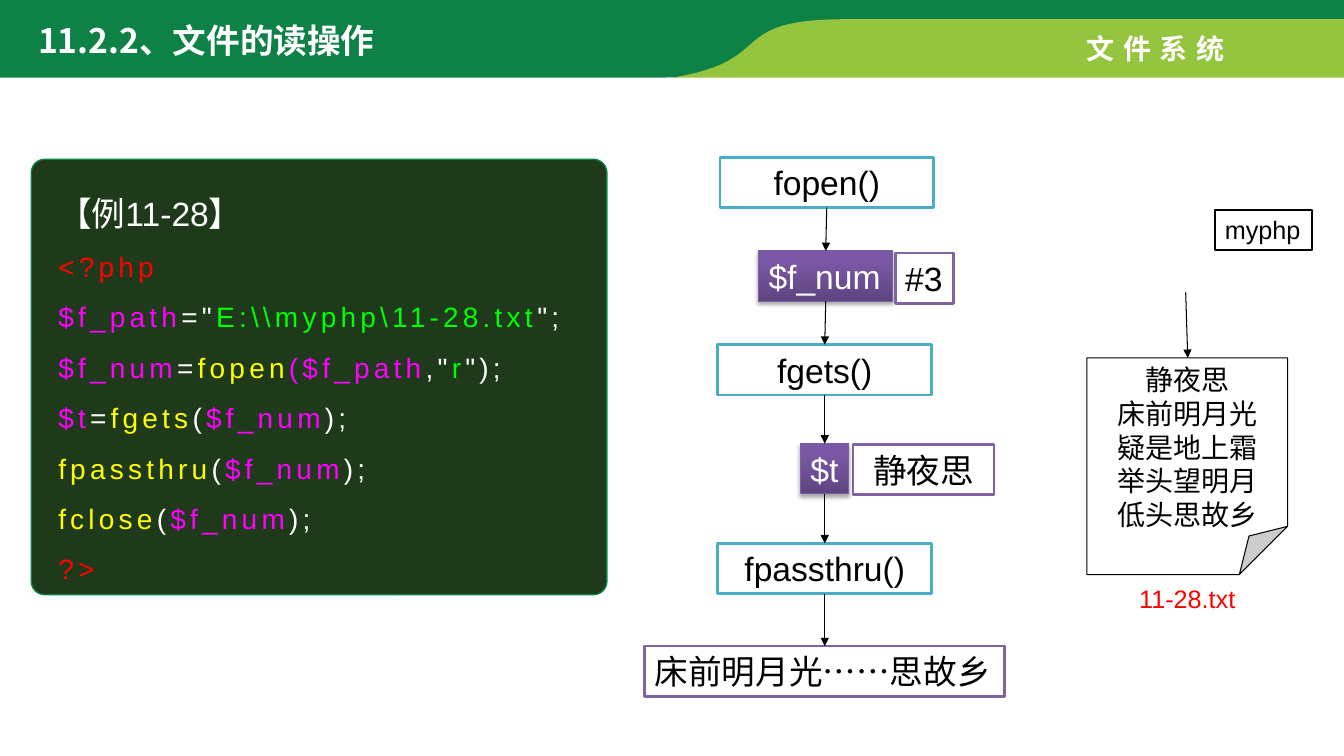
from lxml import etree
from pptx import Presentation, util as u
from pptx.dml.color import RGBColor
from pptx.enum import shapes, text
from pptx.oxml.ns import qn

W, H = 13.33, 7.5
CJK = "Noto Sans CJK SC"
BLACK, WHITE, RED = "000000", "FFFFFF", "FF0000"
GREEN, LIME, CODE_BG = "0E8146", "95C53E", "1E3A1A"
TEAL, PURPLE = "4BACC6", "8064A2"
VAR, FUNC, STRING = "FF00FF", "FFFF00", "00FF00"

TITLE, CHAPTER = "11.2.2、文件的读操作", "文件系统"
FOLDER, FILE = "myphp", "11-28.txt"
POEM = ["静夜思", "床前明月光", "疑是地上霜", "举头望明月", "低头思故乡"]

EXAMPLE = "【例11-28】"
CODE = [
    [("<?php", RED)],
    [("$f_path", VAR), ("=\"", WHITE), ("E:\\\\myphp\\11-28.txt", STRING), ("\";", WHITE)],
    [("$f_num", VAR), ("=", WHITE), ("fopen", FUNC), ("($f_path", VAR),
     (",\"", WHITE), ("r", STRING), ("\");", WHITE)],
    [("$t", VAR), ("=", WHITE), ("fgets", FUNC), ("(", WHITE), ("$f_num", VAR), (");", WHITE)],
    [("fpassthru", FUNC), ("(", WHITE), ("$f_num", VAR), (");", WHITE)],
    [("fclose", FUNC), ("(", WHITE), ("$f_num", VAR), (");", WHITE)],
    [("?>", RED)],
]

# Flow steps: text, kind, centre x, top, width
BOX_H = 0.5
FLOW = [
    ("fopen()", "call", 8.2, 1.56, 2.12),
    ("$f_num", "variable", 8.19, 2.49, 1.33),
    ("fgets()", "call", 8.18, 3.42, 2.12),
    ("$t", "variable", 8.18, 4.4, 0.48),
    ("fpassthru()", "call", 8.18, 5.39, 2.12),
    ("床前明月光……思故乡", "output", 8.18, 6.41, 3.57),
]
# Values beside the variables: text, left, top, width, centred
VALUES = [("#3", 8.88, 2.51, 0.58, False), ("静夜思", 8.46, 4.41, 1.4, True)]

HEADER = [(0, -0.03), (W, -0.03), (W, 0.24), (8.27, 0.24), (8.09, 0.28)]
HEADER_CURVE = [(8.09, 0.28), (7.27, 0.44), (7.7, 0.77), (6.55, 0.77)]
TAB = [(8.39, 0.19), (W, 0.19), (W, 0.77), (6.67, 0.77)]
TAB_CURVE = [(6.67, 0.77), (7.73, 0.6), (7.17, 0.19), (8.39, 0.19)]

prs = Presentation()
prs.slide_width, prs.slide_height = u.Inches(W), u.Inches(H)
s = prs.slides.add_slide(prs.slide_layouts[6])


def color(value):
    return RGBColor.from_string(value)


def add_xml(parent, tag, **attrs):
    return etree.SubElement(parent, qn(tag), {k: str(v) for k, v in attrs.items()})


def curve(ends_and_handles, steps=24):
    """Points along a cubic curve, without its start."""
    a, b, c, d = ends_and_handles
    ts = [i / steps for i in range(1, steps + 1)]
    return [tuple((1 - t) ** 3 * a[k] + 3 * t * (1 - t) ** 2 * b[k]
                  + 3 * t * t * (1 - t) * c[k] + t ** 3 * d[k] for k in (0, 1)) for t in ts]


def band(points, fill):
    pts = [(u.Inches(x), u.Inches(y)) for x, y in points]
    fb = s.shapes.build_freeform(*pts[0], scale=1.0)
    fb.add_line_segments(pts[1:], close=True)
    sp = fb.convert_to_shape()
    sp.shadow.inherit = False
    sp.fill.solid()
    sp.fill.fore_color.rgb = color(fill)
    sp.line.fill.background()


def write(sp, lines, size=24, fill=BLACK, center=False, wrap=True, grow=True,
          bold=False, font="Arial", spacing=0, leading=None, first=None):
    """Each line is a string or a list of (text, colour); first overrides line one's (size, spacing)."""
    tf = sp.text_frame
    tf.word_wrap = wrap
    tf.auto_size = text.MSO_AUTO_SIZE.SHAPE_TO_FIT_TEXT if grow else text.MSO_AUTO_SIZE.NONE
    tf.vertical_anchor = text.MSO_ANCHOR.TOP
    for i, line in enumerate(lines):
        p = tf.add_paragraph() if i else tf.paragraphs[0]
        p.alignment = text.PP_ALIGN.CENTER if center else text.PP_ALIGN.LEFT
        if leading:
            p.line_spacing = leading
        pt, gap = first if first and i == 0 else (size, spacing)
        for words, c in [(line, fill)] if isinstance(line, str) else line:
            r = p.add_run()
            r.text = words
            r.font.size, r.font.bold, r.font.name = u.Pt(pt), bold, font
            r.font.color.rgb = color(c)
            rpr = r.font._element
            rpr.set("lang", "zh-CN")
            if gap:
                rpr.set("spc", str(gap * 100))
            add_xml(rpr, "a:ea", typeface=CJK)


def label(at, lines, **fmt):
    write(s.shapes.add_textbox(*map(u.Inches, at)), lines, **fmt)


def box(at, line, width, fill=WHITE, preset="rect", adj=None):
    """A preset shape; preset is its DrawingML name, adj its one adjustment."""
    sp = s.shapes.add_shape(shapes.MSO_SHAPE.RECTANGLE, *map(u.Inches, at))
    sp.shadow.inherit = False
    geom = sp._element.spPr.find(qn("a:prstGeom"))
    geom.set("prst", preset)
    if adj is not None:
        add_xml(geom.find(qn("a:avLst")), "a:gd", name="adj", fmla=f"val {round(adj * 100000)}")
    sp.fill.solid()
    sp.fill.fore_color.rgb = color(fill)
    sp.line.color.rgb = color(line)
    sp.line.width = u.Pt(width)
    return sp


def raise_purple(sp):
    """Gradient fill and soft shadow of a variable box."""
    sp.fill.gradient()
    sp.fill.gradient_angle = 90
    for stop, c, pos in zip(sp.fill.gradient_stops, ("5F4480", "7B58A6"), (0, 0.8)):
        stop.color.rgb = color(c)
        stop.position = pos
    effects = sp._element.spPr.find(qn("a:effectLst"))
    shadow = add_xml(effects, "a:outerShdw", blurRad=u.Pt(3.1), dist=u.Pt(1.8),
                     dir=90 * 60000, rotWithShape=0)
    add_xml(add_xml(shadow, "a:srgbClr", val=BLACK), "a:alpha", val=35000)


def arrow(*ends):
    c = s.shapes.add_connector(shapes.MSO_CONNECTOR.STRAIGHT, *map(u.Inches, ends))
    c.line.color.rgb = color(BLACK)
    c.line.width = u.Pt(0.75)
    add_xml(c._element.spPr.find(qn("a:ln")), "a:tailEnd", type="triangle")
    add_xml(c._element.spPr, "a:effectLst")


# Header
band(HEADER + curve(HEADER_CURVE) + [(0, 0.77)], GREEN)
band(TAB + curve(TAB_CURVE)[:-1], LIME)
label((10.68, 0.26, 1.66, 0.44), [CHAPTER], size=20, fill=WHITE, bold=True, wrap=False, spacing=6)
label((0.28, 0.15, 4.98, 0.5), [TITLE], fill=WHITE, bold=True, font=CJK)

# Text file in its folder
page = box((10.78, 3.55, 1.99, 2.15), BLACK, 0.75, preset="foldedCorner", adj=0.24)
write(page, POEM, size=20, center=True, grow=False)
write(box((12.05, 2.08, 0.96, 0.4), BLACK, 1.5), [FOLDER], size=18, wrap=False)
label((11.2, 5.74, 1.16, 0.4), [FILE], size=18, fill=RED, wrap=False)
arrow(11.76, 2.9, 11.78, 3.55)

# Code panel
box((0.31, 1.58, 5.71, 4.32), GREEN, 1, CODE_BG, "roundRect", 0.031)
label((0.48, 1.66, 5.53, 4.24), [EXAMPLE] + CODE, size=20, fill=WHITE, spacing=3,
      leading=1.5, first=(24, 0))

# Flow
STYLE = {"call": (TEAL, 2), "variable": ("7D60A0", 0.75), "output": (PURPLE, 2)}
for words, kind, cx, top, width in FLOW:
    sp = box((cx - width / 2, top, width, BOX_H), *STYLE[kind])
    if kind == "variable":
        raise_purple(sp)
    write(sp, [words], fill=WHITE if kind == "variable" else BLACK,
          center=kind == "call", wrap=kind == "call")
for words, left, top, width, center in VALUES:
    write(box((left, top, width, BOX_H), PURPLE, 2), [words], center=center)
for (_, _, x1, y1, _), (_, _, x2, y2, _) in zip(FLOW, FLOW[1:]):
    arrow(x1, y1 + BOX_H, x2, y2)

prs.save("out.pptx")
